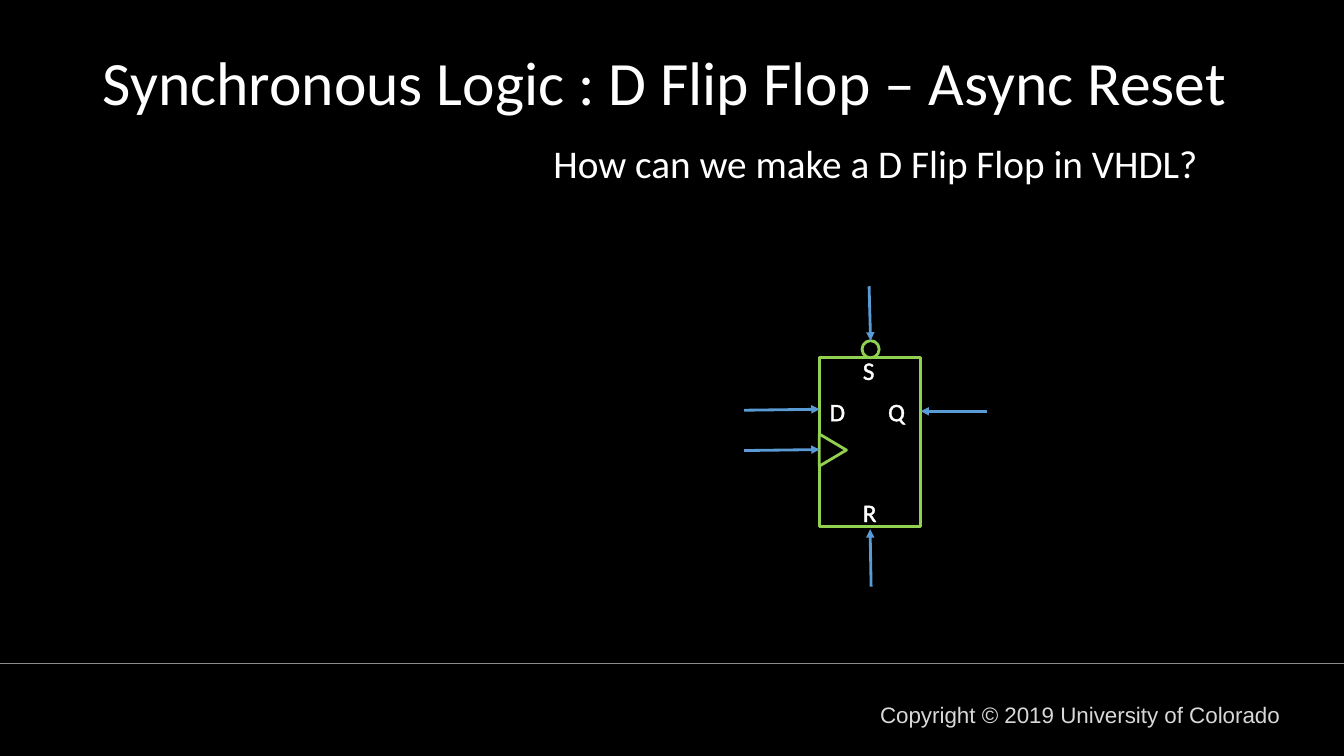
from lxml import etree
from pptx import Presentation
from pptx import util as u
from pptx.dml.color import RGBColor
from pptx.enum import shapes, text
from pptx.oxml.ns import qn

BLACK = RGBColor(0x00, 0x00, 0x00)
WHITE = RGBColor(0xFF, 0xFF, 0xFF)
PALE_GREY = RGBColor(0xD8, 0xD8, 0xD8)
RULE_GREY = RGBColor(0x8C, 0x8C, 0x8C)
GREEN = RGBColor(0x92, 0xD0, 0x50)
BLUE = RGBColor(0x5B, 0x9B, 0xD5)


class SlideBuilder:
    def __init__(self, slide):
        self.slide = slide
        self.font = "Calibri"
        self.line_width = u.Pt(2)
        slide.background.fill.solid()
        slide.background.fill.fore_color.rgb = BLACK

    def text(self, words, left, top, width, height, size, color=WHITE, font=None,
             spacing=None, anchor=text.MSO_ANCHOR.TOP):
        box = self.slide.shapes.add_textbox(
            u.Inches(left), u.Inches(top), u.Inches(width), u.Inches(height))
        frame = box.text_frame
        frame.word_wrap = True
        frame.vertical_anchor = anchor
        paragraph = frame.paragraphs[0]
        if spacing:
            paragraph.line_spacing = spacing
        run = paragraph.add_run()
        run.text = words
        run.font.name = font or self.font
        run.font.size = u.Pt(size)
        run.font.color.rgb = color
        return box

    def pin_label(self, letter, left, top):
        """Add a letter with a thin white outline."""
        label = self.text(letter, left, top, 0.36, 0.4, 18)
        label.text_frame.auto_size = text.MSO_AUTO_SIZE.SHAPE_TO_FIT_TEXT
        properties = label.text_frame.paragraphs[0].runs[0]._r.get_or_add_rPr()
        outline = etree.Element(qn("a:ln"), w=str(u.Pt(0.5)))
        fill = etree.SubElement(outline, qn("a:solidFill"))
        etree.SubElement(fill, qn("a:srgbClr"), val=str(WHITE))
        properties.insert(0, outline)

    def symbol(self, kind, left, top, width, height, rotation=0):
        """Add a green-edged piece of the flip flop symbol."""
        shape = self.slide.shapes.add_shape(
            kind, u.Inches(left), u.Inches(top), u.Inches(width), u.Inches(height))
        shape.shadow.inherit = False
        shape.rotation = rotation
        shape.fill.solid()
        shape.fill.fore_color.rgb = BLACK
        shape.line.color.rgb = GREEN
        shape.line.width = self.line_width
        return shape

    def line(self, start, end, color, width):
        connector = self.slide.shapes.add_connector(
            shapes.MSO_CONNECTOR.STRAIGHT, *map(u.Inches, start + end))
        connector.line.color.rgb = color
        connector.line.width = width
        etree.SubElement(connector._element.spPr, qn("a:effectLst"))
        return connector

    def signal(self, start, end):
        """Add a blue arrow pointing at a pin."""
        arrow = self.line(start, end, BLUE, self.line_width)
        outline = arrow._element.spPr.find(qn("a:ln"))
        etree.SubElement(outline, qn("a:tailEnd"), type="triangle")
        return arrow


def main():
    deck = Presentation()
    deck.slide_width, deck.slide_height = u.Inches(13.33), u.Inches(7.5)
    page = SlideBuilder(deck.slides.add_slide(deck.slide_layouts[6]))

    page.line((0, 6.58), (13.33, 6.58), RULE_GREY, u.Pt(1))
    page.text("Copyright © 2019 University of Colorado", 8.63, 6.91, 4.7, 0.37, 16,
              PALE_GREY, "Arial")
    page.text("How can we make a D Flip Flop in VHDL?", 5.39, 1.39, 7.25, 5.05, 28,
              spacing=0.9)
    page.text("Synchronous Logic : D Flip Flop – Async Reset", 0.92, 0.4, 11.5, 0.9, 44,
              spacing=0.9, anchor=text.MSO_ANCHOR.MIDDLE)

    kinds = shapes.MSO_SHAPE
    page.symbol(kinds.RECTANGLE, 8.13, 3.55, 1, 1.67)
    page.symbol(kinds.ISOSCELES_TRIANGLE, 8.1, 4.33, 0.32, 0.27, rotation=90)
    set_bubble = page.symbol(kinds.FLOWCHART_CONNECTOR, 8.55, 3.38, 0.17, 0.17)

    for letter, left, top in (("D", 8.13, 3.88), ("Q", 8.71, 3.88),
                              ("R", 8.46, 4.88), ("S", 8.46, 3.47)):
        page.pin_label(letter, left, top)

    for start, end in (((7.38, 4.07), (8.13, 4.06)),
                       ((7.38, 4.47), (8.13, 4.46)),
                       ((9.79, 4.08), (9.13, 4.08)),
                       ((8.64, 5.82), (8.63, 5.25))):
        page.signal(start, end)
    page.signal((8.62, 2.84), (8.63, 3.38)).end_connect(set_bubble, 0)

    deck.save("out.pptx")


if __name__ == "__main__":
    main()
